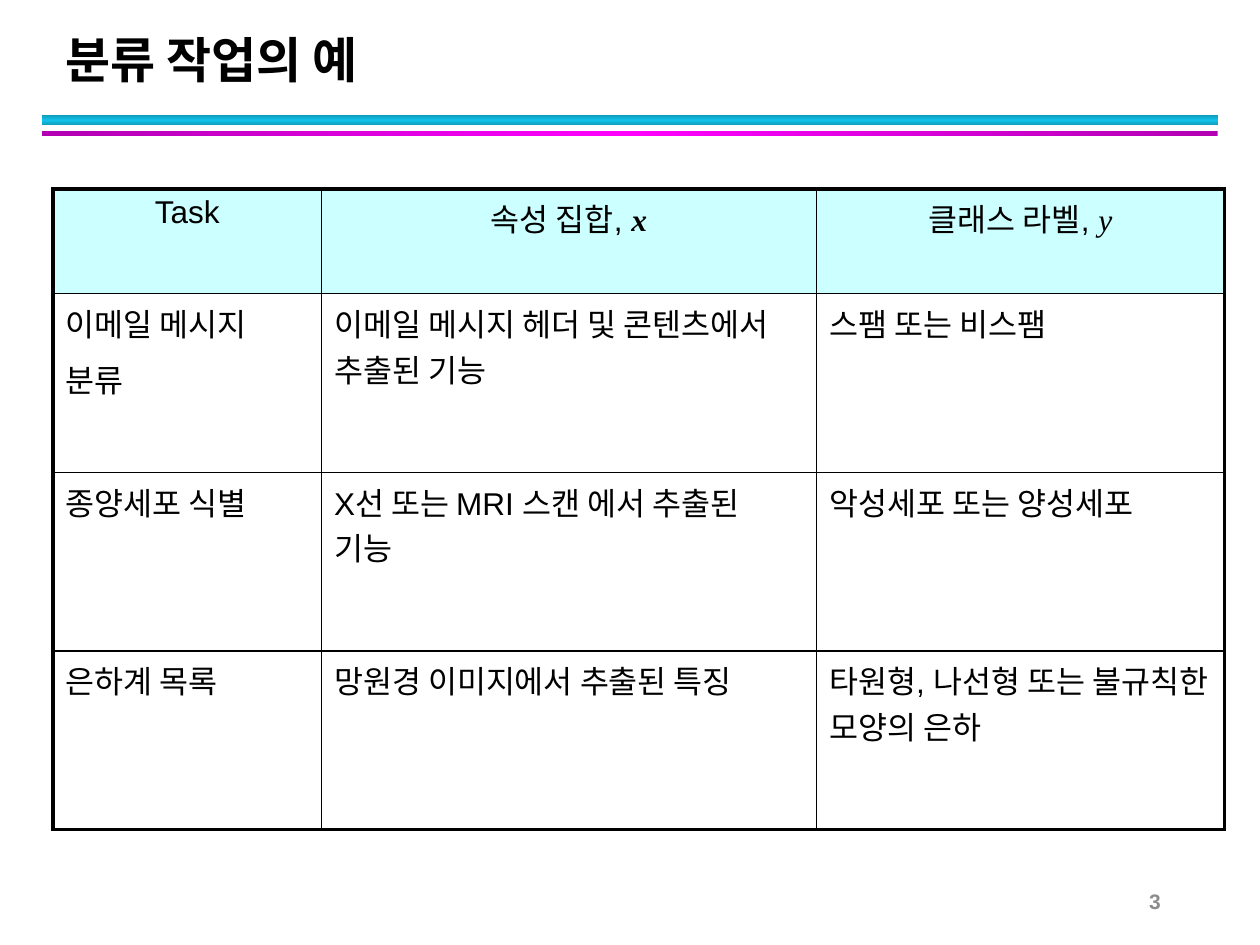
from copy import deepcopy

from lxml import etree
from pptx import Presentation
from pptx.dml.color import RGBColor
from pptx.enum import shapes, text
from pptx.oxml.ns import qn
from pptx.util import Cm, Pt

BLACK = RGBColor(0x00, 0x00, 0x00)
GRAY = RGBColor(0x8C, 0x8C, 0x8C)
HEADER_FILL = RGBColor(0xCC, 0xFF, 0xFF)
TEAL, CYAN = RGBColor(0x0E, 0x9B, 0xBA), RGBColor(0x12, 0xC2, 0xE9)
PURPLE, MAGENTA = RGBColor(0xB2, 0x00, 0xB2), RGBColor(0xFF, 0x00, 0xFF)

TITLE = "분류 작업의 예"
PAGE_NUMBER = "3"

# top, height, edge colour, middle colour, gradient angle
BANDS = [
    (2.32, 0.21, TEAL, CYAN, 90),
    (2.64, 0.1, PURPLE, MAGENTA, 0),
]

# Header cells: label, variable, whether the variable is bold
HEADERS = [
    ("Task", "", False),
    ("속성 집합, ", "x", True),
    ("클래스 라벨, ", "y", False),
]
# Each cell is a list of paragraphs
TASKS = [
    (["이메일 메시지", "분류"],
     ["이메일 메시지 헤더 및 콘텐츠에서 추출된 기능"],
     ["스팸 또는 비스팸"]),
    (["종양세포 식별"],
     ["X선 또는 MRI 스캔 에서 추출된 기능"],
     ["악성세포 또는 양성세포"]),
    (["은하계 목록"],
     ["망원경 이미지에서 추출된 특징"],
     ["타원형, 나선형 또는 불규칙한 모양의 은하"]),
]
COLUMN_WIDTHS = [5.41, 9.98, 8.23]
ROW_HEIGHTS = [2.11] + [3.6] * len(TASKS)
OUTER_LINE, INNER_LINE = Pt(2.25), Pt(1)


def add_run(paragraph, words, size, font="Arial", color=BLACK, bold=False, italic=False):
    run = paragraph.add_run()
    run.text = words
    run.font.size = Pt(size)
    run.font.name = font
    run.font.color.rgb = color
    run.font.bold = bold
    run.font.italic = italic


def add_band(slide, top, height, edge, middle, angle):
    band = slide.shapes.add_shape(
        shapes.MSO_SHAPE.RECTANGLE, Cm(0.85), Cm(top), Cm(23.7), Cm(height))
    band.shadow.inherit = False
    band.line.fill.background()
    band.fill.gradient()
    band.fill.gradient_angle = angle
    stop_list = next(band._element.spPr.iter(qn("a:gsLst")))
    stop_list.append(deepcopy(stop_list[0]))
    for stop, position, color in zip(
            band.fill.gradient_stops, (0, 0.5, 1), (edge, middle, edge)):
        stop.position = position
        stop.color.rgb = color


def set_borders(cell, widths):
    """Draw black cell borders; widths maps L, R, T and B to lengths."""
    properties = cell._tc.get_or_add_tcPr()
    for index, (side, width) in enumerate(widths.items()):
        line = etree.Element(qn(f"a:ln{side}"), w=str(width))
        fill = etree.SubElement(line, qn("a:solidFill"))
        etree.SubElement(fill, qn("a:srgbClr"), val=str(BLACK))
        properties.insert(index, line)


def cell_paragraph(paragraph, alignment):
    paragraph.alignment = alignment
    paragraph.space_before = Pt(1.8)
    paragraph.space_after = Pt(4)
    return paragraph


def fill_header(cell, label, variable, bold):
    cell.fill.solid()
    cell.fill.fore_color.rgb = HEADER_FILL
    paragraph = cell_paragraph(cell.text_frame.paragraphs[0], text.PP_ALIGN.CENTER)
    add_run(paragraph, label, 18)
    if variable:
        add_run(paragraph, variable, 18, "Times New Roman", bold=bold, italic=True)


def fill_body(cell, lines):
    cell.fill.background()
    frame = cell.text_frame
    for index, line in enumerate(lines):
        paragraph = frame.add_paragraph() if index else frame.paragraphs[0]
        add_run(cell_paragraph(paragraph, text.PP_ALIGN.LEFT), line, 18)


def add_task_table(slide):
    rows, columns = len(ROW_HEIGHTS), len(COLUMN_WIDTHS)
    table = slide.shapes.add_table(
        rows, columns, Cm(1.07), Cm(3.81),
        Cm(sum(COLUMN_WIDTHS)), Cm(sum(ROW_HEIGHTS))).table
    table.first_row = table.horz_banding = False
    for column, width in zip(table.columns, COLUMN_WIDTHS):
        column.width = Cm(width)
    for row, height in zip(table.rows, ROW_HEIGHTS):
        row.height = Cm(height)

    for c, header in enumerate(HEADERS):
        fill_header(table.cell(0, c), *header)
    for r, task in enumerate(TASKS, start=1):
        for c, lines in enumerate(task):
            fill_body(table.cell(r, c), lines)

    for r in range(rows):
        for c in range(columns):
            on_edge = {"L": c == 0, "R": c == columns - 1,
                       "T": r == 0, "B": r == rows - 1}
            set_borders(table.cell(r, c), {
                side: OUTER_LINE if outer else INNER_LINE
                for side, outer in on_edge.items()})


def add_title(slide):
    title = slide.shapes.title
    title.left, title.top, title.width, title.height = Cm(1.07), Cm(0.43), Cm(23.01), Cm(1.47)
    frame = title.text_frame
    frame.word_wrap = True
    frame.auto_size = text.MSO_AUTO_SIZE.NONE
    frame.vertical_anchor = text.MSO_ANCHOR.BOTTOM
    paragraph = frame.paragraphs[0]
    paragraph.alignment = text.PP_ALIGN.LEFT
    paragraph.line_spacing = Pt(36)
    add_run(paragraph, TITLE, 28, "Karla", bold=True)


def add_page_number(slide):
    box = slide.shapes.add_textbox(Cm(17.93), Cm(17.65), Cm(5.72), Cm(1.02))
    frame = box.text_frame
    frame.word_wrap = True
    frame.vertical_anchor = text.MSO_ANCHOR.MIDDLE
    paragraph = frame.paragraphs[0]
    paragraph.alignment = text.PP_ALIGN.RIGHT
    add_run(paragraph, PAGE_NUMBER, 12, color=GRAY, bold=True)


def main():
    presentation = Presentation()
    presentation.slide_width, presentation.slide_height = Cm(25.4), Cm(19.05)
    slide = presentation.slides.add_slide(presentation.slide_layouts[5])
    for band in BANDS:
        add_band(slide, *band)
    add_title(slide)
    add_task_table(slide)
    add_page_number(slide)
    presentation.save("out.pptx")


if __name__ == "__main__":
    main()
